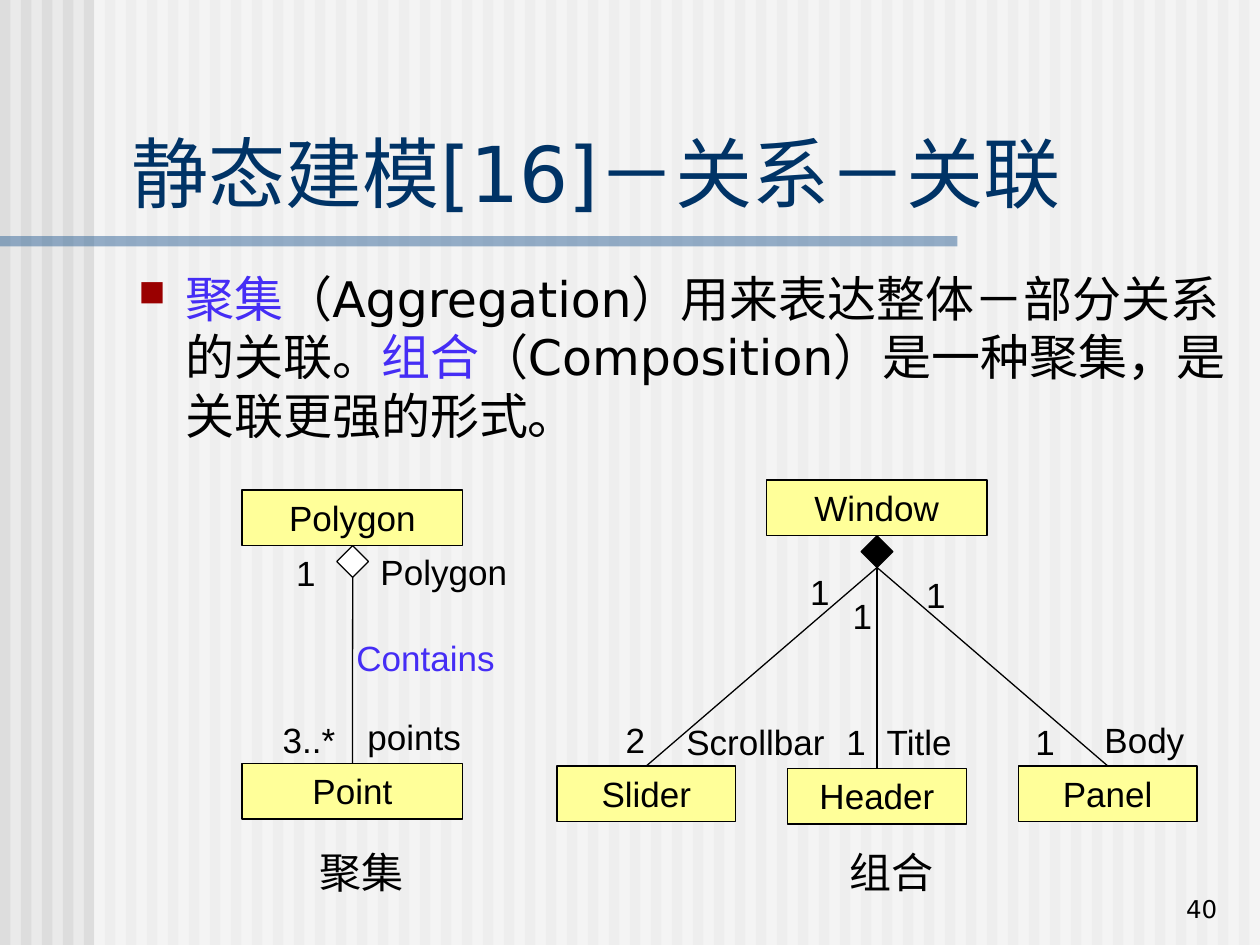
from typing import NamedTuple

from lxml.etree import SubElement
from pptx import Presentation
from pptx.dml.color import RGBColor
from pptx.enum.shapes import MSO_CONNECTOR, MSO_SHAPE
from pptx.enum.text import MSO_ANCHOR, PP_ALIGN
from pptx.oxml.ns import qn
from pptx.shapes.autoshape import Shape
from pptx.slide import Slide
from pptx.util import Cm, Pt

WIDE, HIGH = 25.4, 19.05
ROW = 1.12
BLACK, BLUE, NAVY = "000000", "452DF5", "003366"
SANS, ARIAL = "DejaVu Sans", "Arial"
LEFT, MID, RIGHT = PP_ALIGN.LEFT, PP_ALIGN.CENTER, PP_ALIGN.RIGHT
TOP, LOW = MSO_ANCHOR.TOP, MSO_ANCHOR.BOTTOM


class Run(NamedTuple):
    text: str
    hue: str = BLACK


class Area(NamedTuple):
    x: float
    y: float
    w: float
    h: float = ROW


class Style(NamedTuple):
    size: float = 20
    face: str = ARIAL
    align: PP_ALIGN = MID
    anchor: MSO_ANCHOR = TOP


class Label(NamedTuple):
    area: Area
    runs: list[Run]
    style: Style = Style()


class Node(NamedTuple):
    name: str
    area: Area


class Tree(NamedTuple):
    whole: Node
    gem: Area
    fill: str
    leaves: list[Node]


PLAIN = Style()
START = Style(align=LEFT)
NOTE = Style(24, SANS)

TREES = [
    Tree(Node("Polygon", Area(4.88, 9.88, 4.45)), Area(6.79, 11, 0.64, 0.64), "FFFFFF",
         [Node("Point", Area(4.88, 15.39, 4.45))]),
    Tree(Node("Window", Area(15.45, 9.68, 4.45)), Area(17.36, 10.8, 0.64, 0.64), BLACK,
         [Node("Slider", Area(11.23, 15.44, 3.6)),
          Node("Header", Area(15.88, 15.49, 3.6)),
          Node("Panel", Area(20.53, 15.44, 3.6))]),
]

LABELS = [
    Label(Area(2.41, 2.39, 22.68, 2.13), [Run("静态建模[16]－关系－关联", NAVY)],
          Style(44, SANS, LEFT, LOW)),
    Label(Area(5.72, 11, 0.84), [Run("1")], START),
    Label(Area(5.28, 14.35, 1.9), [Run("3..*")]),
    Label(Area(6.98, 14.3, 2.74), [Run("points")]),
    Label(Area(6.78, 12.7, 3.6), [Run("Contains", BLUE)]),
    Label(Area(7.42, 10.97, 3.18), [Run("Polygon")], START),
    Label(Area(16.08, 11.38, 0.84), [Run("1")], START),
    Label(Area(16.94, 11.86, 0.84), [Run("1")], START),
    Label(Area(18.42, 11.43, 0.84), [Run("1")], START),
    Label(Area(11.86, 14.35, 1.9), [Run("2")]),
    Label(Area(13.54, 14.4, 3.38), [Run("Scrollbar")]),
    Label(Area(16.31, 14.4, 1.9), [Run("1")]),
    Label(Area(17.58, 14.4, 1.9), [Run("Title")]),
    Label(Area(20.12, 14.4, 1.9), [Run("1")]),
    Label(Area(21.8, 14.35, 2.54), [Run("Body")]),
    Label(Area(4.65, 16.94, 5.28, 1.27), [Run("聚集")], NOTE),
    Label(Area(15.44, 16.94, 5.08, 1.27), [Run("组合")], NOTE),
    Label(Area(19.51, 17.48, 5.28, 1.27), [Run("40")], Style(14, SANS, RIGHT, LOW)),
]

BODY = Label(Area(2.54, 5.28, 22.53, 11.63), [
    Run("聚集", BLUE),
    Run("（Aggregation）用来表达整体－部分关系的关联。"),
    Run("组合", BLUE),
    Run("（Composition）是一种聚集，是关联更强的形式。"),
], Style(28, SANS, LEFT))


def paint(fill, hue: str) -> None:
    fill.solid()
    fill.fore_color.rgb = RGBColor.from_string(hue)


def place(area: Area) -> list[Cm]:
    return [Cm(n) for n in area]


def draw(slide: Slide, area: Area, hue: str, kind: MSO_SHAPE = MSO_SHAPE.RECTANGLE,
         edge: bool = False) -> Shape:
    shape = slide.shapes.add_shape(kind, *place(area))
    shape.shadow.inherit = False
    paint(shape.fill, hue)
    if edge:
        paint(shape.line.fill, BLACK)
        shape.line.width = Pt(0.75)
    else:
        shape.line.fill.background()
    return shape


def veil(slide: Slide, area: Area, hue: str) -> None:
    shape = draw(slide, area, hue)
    tone = shape._element.spPr.find(qn("a:solidFill"))[0]
    SubElement(tone, qn("a:alpha"), val="50000")


def write(shape: Shape, runs: list[Run], style: Style) -> None:
    frame = shape.text_frame
    frame.word_wrap = True
    frame.vertical_anchor = style.anchor
    line = frame.paragraphs[0]
    line.alignment = style.align
    for text, hue in runs:
        run = line.add_run()
        run.text = text
        run.font.size = Pt(style.size)
        run.font.name = style.face
        paint(run.font.fill, hue)


def label(slide: Slide, item: Label) -> Shape:
    box = slide.shapes.add_textbox(*place(item.area))
    write(box, item.runs, item.style)
    return box


def bullet(box: Shape) -> None:
    props = box.text_frame.paragraphs[0]._p.get_or_add_pPr()
    props.set("marL", str(Cm(0.95)))
    props.set("indent", str(Cm(-0.95)))
    SubElement(SubElement(props, qn("a:buClr")), qn("a:srgbClr"), val="9A0000")
    SubElement(props, qn("a:buSzPct"), val="75000")
    SubElement(props, qn("a:buChar"), char="■")


def node(slide: Slide, item: Node) -> Shape:
    box = draw(slide, item.area, "FFFF99", edge=True)
    write(box, [Run(item.name)], PLAIN)
    return box


def link(slide: Slide, head: Shape, tail: Shape) -> None:
    line = slide.shapes.add_connector(MSO_CONNECTOR.STRAIGHT, 0, 0, 0, 0)
    line.begin_connect(head, 2)
    line.end_connect(tail, 0)
    paint(line.line.fill, BLACK)
    line.line.width = Pt(0.75)
    SubElement(line._element.spPr, qn("a:effectLst"))


def grow(slide: Slide, tree: Tree) -> None:
    node(slide, tree.whole)
    gem = draw(slide, tree.gem, tree.fill, MSO_SHAPE.FLOWCHART_DECISION, True)
    for leaf in tree.leaves:
        link(slide, gem, node(slide, leaf))


def main() -> None:
    deck = Presentation()
    deck.slide_width, deck.slide_height = Cm(WIDE), Cm(HIGH)
    slide = deck.slides.add_slide(deck.slide_layouts[6])
    paint(slide.background.fill, "EAEAEA")
    for i in range(60):
        draw(slide, Area(i * WIDE / 60, 0, 0.21, HIGH), "DDDDDD")
    veil(slide, Area(1.9, 0, WIDE - 1.9, HIGH), "FFFFFF")
    veil(slide, Area(0, 4.76, 19.3, 0.21), "336699")
    bullet(label(slide, BODY))
    for tree in TREES:
        grow(slide, tree)
    for item in LABELS:
        label(slide, item)
    deck.save("out.pptx")


if __name__ == "__main__":
    main()
